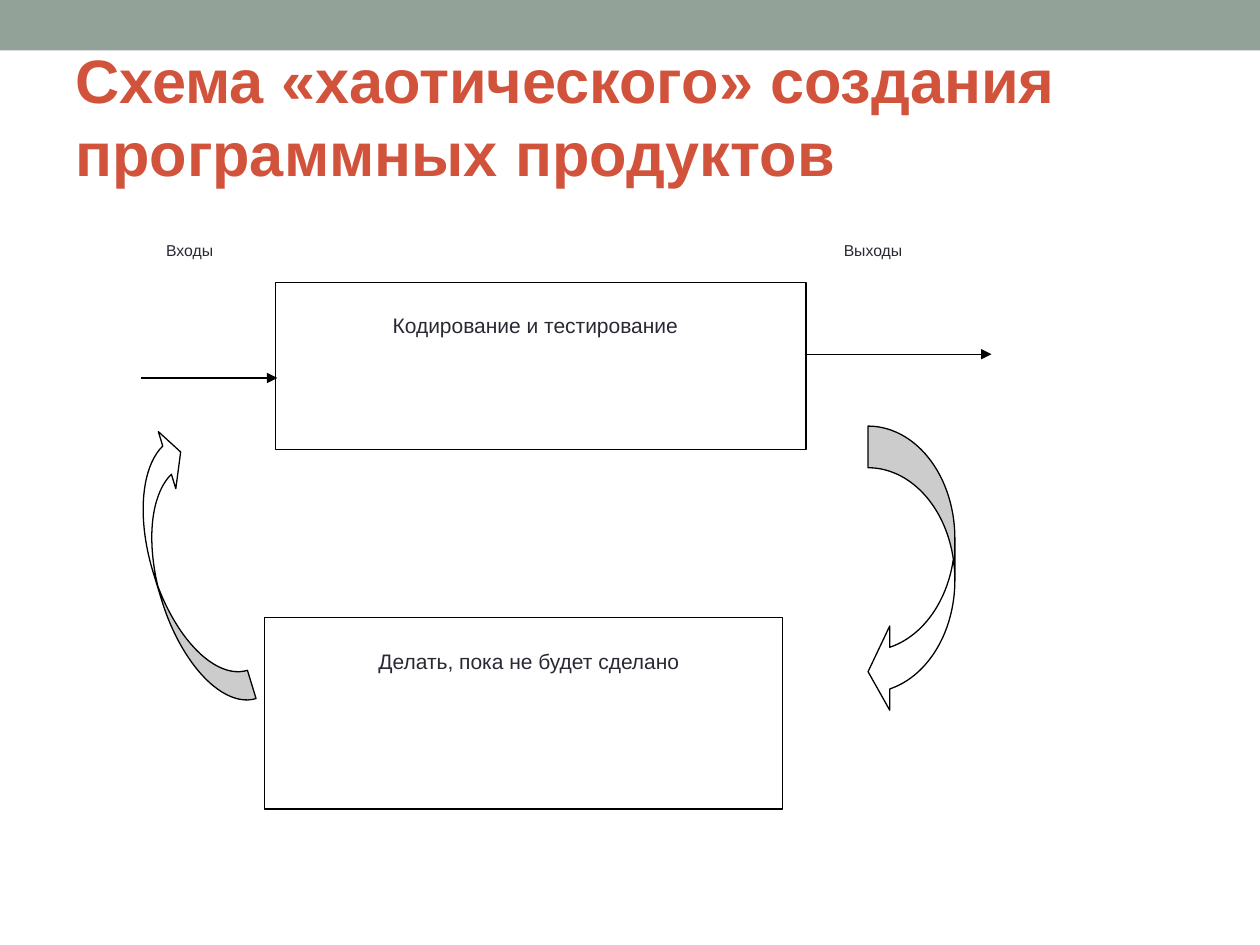
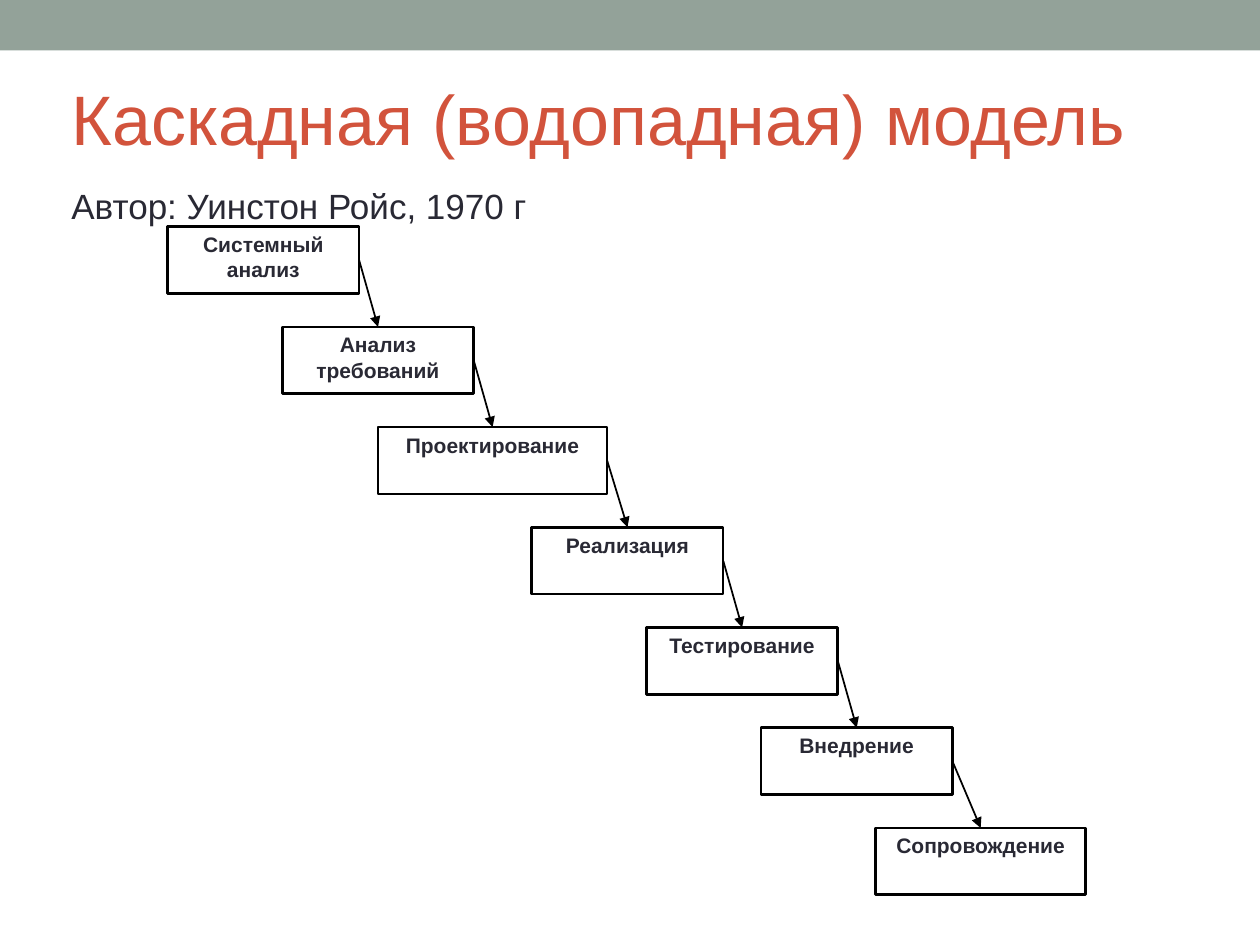
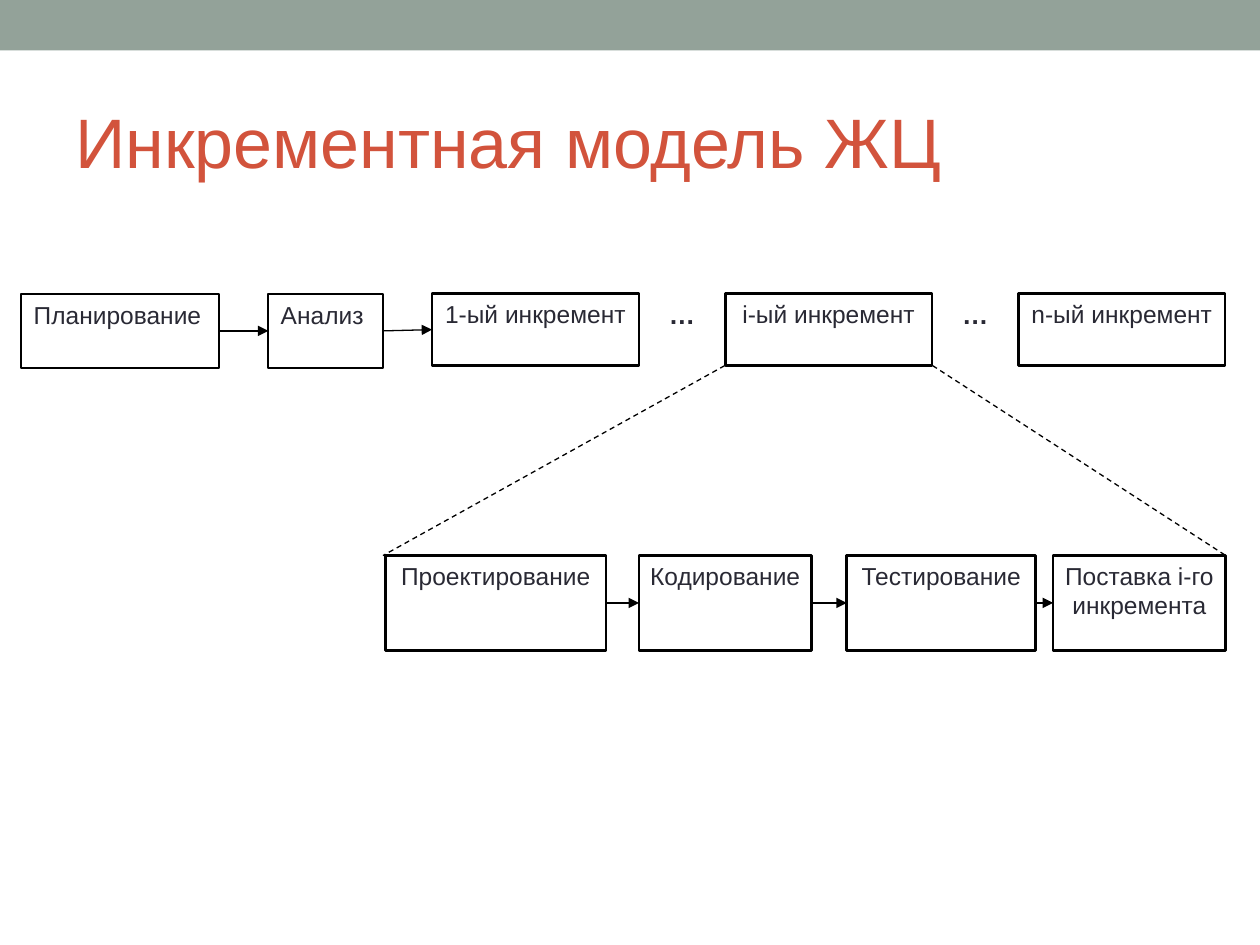
from dataclasses import dataclass
from typing import Optional

from lxml import etree
from pptx import Presentation
from pptx import util as u
from pptx.dml.color import RGBColor
from pptx.enum import dml, shapes, text
from pptx.oxml.ns import qn

HEX = {
    "band": "93A299",
    "title": "D2533C",
    "ink": "292934",
    "line": "000000",
    "paper": "FFFFFF",
}
FONT = "Arial"
MID = text.MSO_ANCHOR.MIDDLE
LOW = text.MSO_ANCHOR.BOTTOM
LEFT = text.PP_ALIGN.LEFT
TOP_SIDE, LEFT_SIDE, RIGHT_SIDE = 0, 1, 3

# Text insets in centimetres: across, down
WIDE = (0.25, 0.13)
TIGHT = (0.2, 0.1)


@dataclass
class Box:
    """A rectangle or plain text; lengths in centimetres."""
    x: float
    y: float
    w: float
    h: float
    words: str = ""
    size: float = 14
    bold: bool = False
    color: str = "ink"
    fill: Optional[str] = None
    line: float = 0
    align: int = text.PP_ALIGN.CENTER
    anchor: int = text.MSO_ANCHOR.TOP
    inset: tuple = WIDE
    kind: int = shapes.MSO_SHAPE.RECTANGLE


@dataclass
class Link:
    """A straight line; lengths in centimetres."""
    x1: float
    y1: float
    x2: float
    y2: float
    width: float = 0.75
    dash: bool = False


def paint(color: str) -> RGBColor:
    return RGBColor.from_string(HEX[color])


def apply(target, values: dict) -> None:
    for name, value in values.items():
        setattr(target, name, value)


def write(shape, box: Box) -> None:
    across, down = map(u.Cm, box.inset)
    frame = shape.text_frame
    apply(frame, {
        "word_wrap": True, "vertical_anchor": box.anchor,
        "margin_left": across, "margin_right": across,
        "margin_top": down, "margin_bottom": down,
    })
    para = frame.paragraphs[0]
    para.alignment = box.align
    run = para.add_run()
    run.text = box.words
    apply(run.font, {"name": FONT, "size": u.Pt(box.size), "bold": box.bold})
    run.font.color.rgb = paint(box.color)


def draw(slide, box: Box):
    place = [u.Cm(v) for v in (box.x, box.y, box.w, box.h)]
    if box.fill or box.line:
        shape = slide.shapes.add_shape(box.kind, *place)
        shape.shadow.inherit = False
        if box.fill:
            shape.fill.solid()
            shape.fill.fore_color.rgb = paint(box.fill)
        else:
            shape.fill.background()
        if box.line:
            shape.line.color.rgb = paint("line")
            shape.line.width = u.Pt(box.line)
        else:
            shape.line.fill.background()
    else:
        shape = slide.shapes.add_textbox(*place)
    if box.words:
        write(shape, box)
    return shape


def rule(slide, link: Link):
    ends = [u.Cm(v) for v in (link.x1, link.y1, link.x2, link.y2)]
    line = slide.shapes.add_connector(shapes.MSO_CONNECTOR.STRAIGHT, *ends)
    line.line.color.rgb = paint("line")
    line.line.width = u.Pt(link.width)
    props = line.element.spPr
    if link.dash:
        line.line.dash_style = dml.MSO_LINE.DASH
    else:
        etree.SubElement(props.find(qn("a:ln")), qn("a:tailEnd"), type="triangle")
    etree.SubElement(props, qn("a:effectLst"))
    return line


def join(slide, first, last, side: int, width: float = 1) -> None:
    """Arrow from the right side of one box to a side of the next."""
    line = rule(slide, Link(0, 0, 0, 0, width))
    line.begin_connect(first, RIGHT_SIDE)
    line.end_connect(last, side)


def start(deck, title: Box):
    """New slide with the shared band and a title."""
    slide = deck.slides.add_slide(deck.slide_layouts[6])
    draw(slide, Box(0, 0, 25.4, 1.02, fill="band"))
    apply(title, {"color": "title", "align": LEFT})
    draw(slide, title)
    return slide


def chaos(deck) -> None:
    slide = start(deck, Box(1.27, 0.33, 20.96, 3.61,
                            "Схема «хаотического» создания программных продуктов",
                            35, True, anchor=LOW))
    # Frames and their captions
    for box in (
        Box(5.56, 5.69, 10.69, 3.38, line=0.75),
        Box(6.07, 6.17, 9.45, 2.41, "Кодирование и тестирование", 12),
        Box(5.33, 12.45, 10.44, 3.86, line=0.75),
        Box(6.07, 12.95, 9.19, 2.9, "Делать, пока не будет сделано", 12),
        Box(3.1, 4.72, 2.24, 2.41, "Входы", 9, align=LEFT),
        Box(16.76, 4.72, 3.23, 1.93, "Выходы", 9, align=LEFT),
    ):
        box.fill = "paper"
        draw(slide, box)
    # Input and output arrows
    rule(slide, Link(2.84, 7.62, 5.59, 7.62))
    rule(slide, Link(16.26, 7.14, 19.99, 7.14))
    # Loop arrows
    for x, w, turn in ((17.5, 1.75, 0), (3.1, 1.24, 163)):
        curve = draw(slide, Box(x, 8.59, w, 5.8, fill="paper", line=0.75,
                                kind=shapes.MSO_SHAPE.CURVED_LEFT_ARROW))
        curve.rotation = turn
        for i, value in enumerate((0.48, 0.97, 0.25)):
            curve.adjustments[i] = value


def cascade(deck) -> None:
    slide = start(deck, Box(1.19, 0.99, 22.86, 2.74,
                            "Каскадная (водопадная) модель", 40, anchor=MID))
    draw(slide, Box(1.19, 3.58, 11.53, 1.32, "Автор: Уинстон Ройс, 1970 г",
                    20, align=LEFT))
    # Steps going down to the right
    stages = (
        ("Системный анализ", 3.38, 3.86),
        ("Анализ требований", 5.69, 3.86),
        ("Проектирование", 7.62, 4.62),
        ("Реализация", 10.72, 3.86),
        ("Тестирование", 13.03, 3.86),
        ("Внедрение", 15.34, 3.86),
        ("Сопровождение", 17.65, 4.24),
    )
    steps = [
        draw(slide, Box(x, 4.57 + 2.02 * i, w, 1.35, words, 12, True,
                        fill="paper", line=1.5, inset=TIGHT))
        for i, (words, x, w) in enumerate(stages)
    ]
    for first, last in zip(steps, steps[1:]):
        join(slide, first, last, TOP_SIDE)


def growth(deck) -> None:
    slide = start(deck, Box(1.27, 1.47, 22.86, 2.74,
                            "Инкрементная модель ЖЦ", 40, anchor=MID))
    # Upper row: preparation, then increments with dots between
    upper = [
        draw(slide, Box(x, 5.92, w, 1.5, words, line=1.25, align=LEFT))
        for words, x, w in (("Планирование", 0.43, 3.99), ("Анализ", 5.41, 2.31))
    ]
    wide, pitch = 4.17, 5.91
    for i, mark in enumerate("1in"):
        x = 8.71 + pitch * i
        part = draw(slide, Box(x, 5.92, wide, 1.45, f"{mark}-ый инкремент",
                               fill="paper", line=1.5, inset=TIGHT))
        if i == 0:
            upper.append(part)
        if i < 2:
            draw(slide, Box(x + wide, 5.92, pitch - wide, 1.45, "…", 15, True,
                            inset=TIGHT))
    # Lower row: the inside of one increment
    lower = [
        draw(slide, Box(x, 11.2, w, 1.91, words, line=1.5, inset=TIGHT))
        for words, x, w in (
            ("Проектирование", 7.77, 4.45),
            ("Кодирование", 12.88, 3.48),
            ("Тестирование", 17.07, 3.81),
            ("Поставка i-го инкремента", 21.23, 3.48),
        )
    ]
    for row, width in ((upper, 0.75), (lower, 1)):
        for first, last in zip(row, row[1:]):
            join(slide, first, last, LEFT_SIDE, width)
    # Zoom lines
    rule(slide, Link(14.61, 7.37, 7.72, 11.2, dash=True))
    rule(slide, Link(18.8, 7.37, 24.71, 11.2, dash=True))


def main() -> None:
    deck = Presentation()
    apply(deck, {"slide_width": u.Cm(25.4), "slide_height": u.Cm(19.05)})
    for build in (chaos, cascade, growth):
        build(deck)
    deck.save("out.pptx")


if __name__ == "__main__":
    main()
